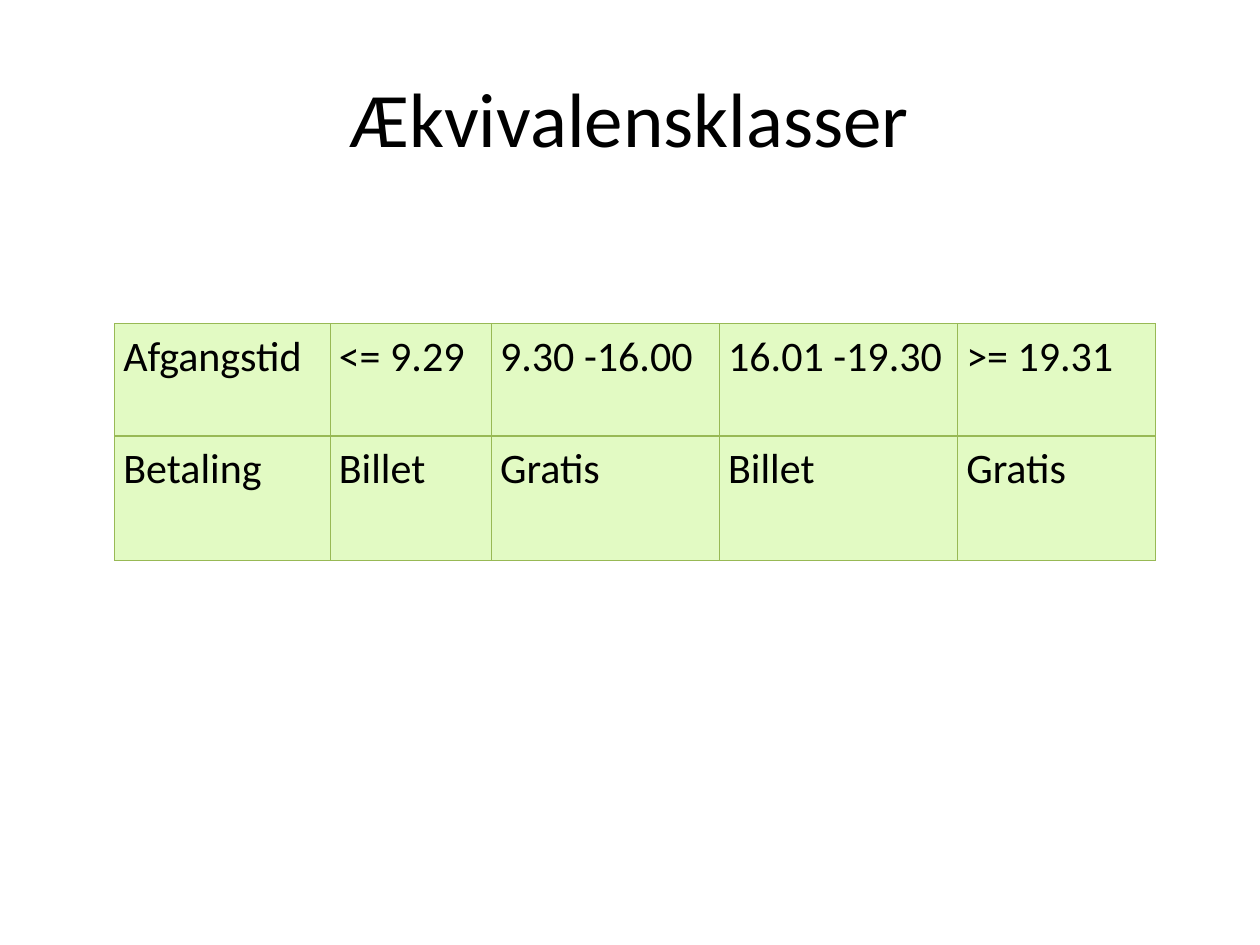
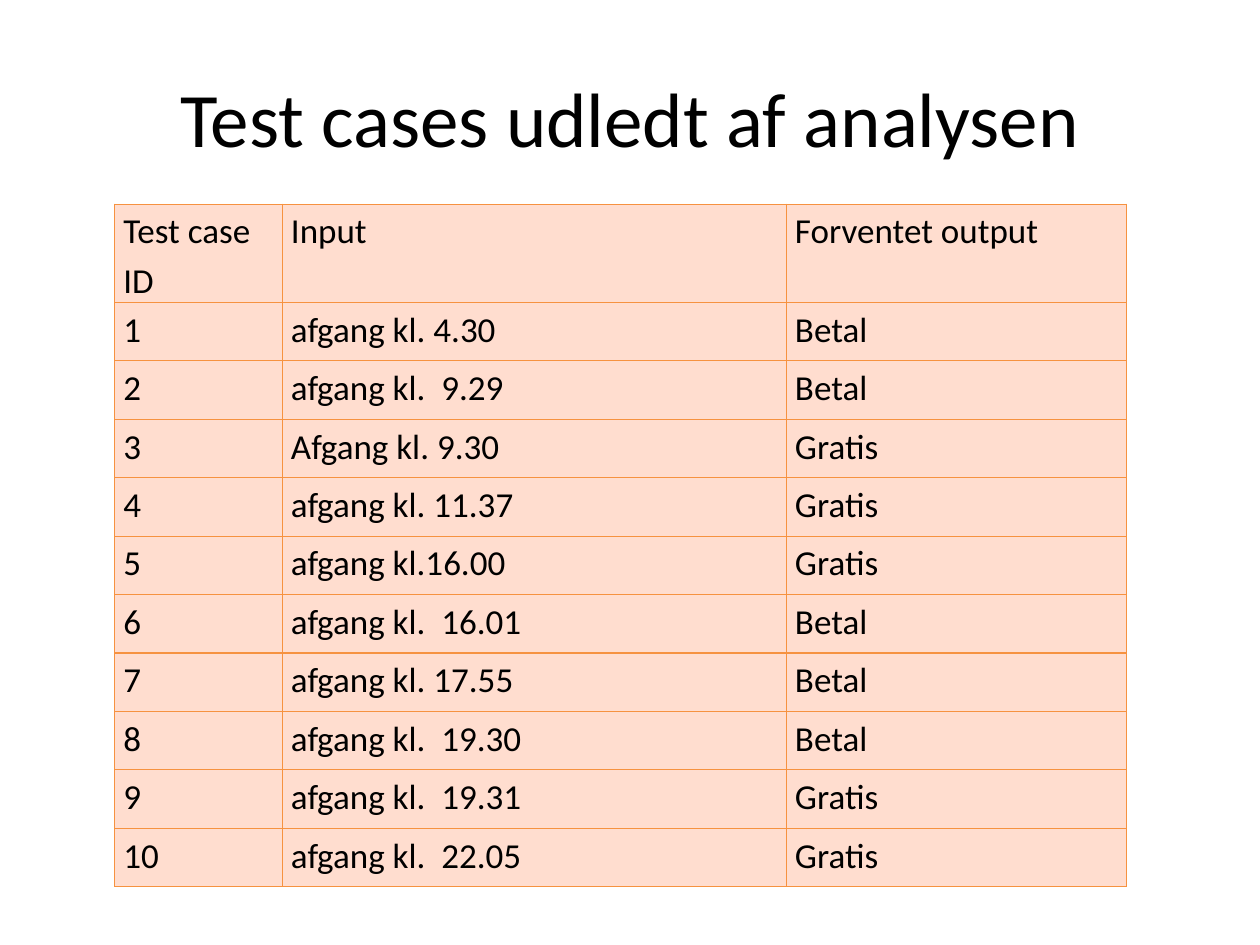
import dataclasses
import pptx
import pptx.dml.color
import pptx.enum.text
import pptx.oxml
import pptx.oxml.ns
import pptx.util

Inches = pptx.util.Inches
Pt = pptx.util.Pt
RGB = pptx.dml.color.RGBColor.from_string
ENUM = pptx.enum.text


@dataclasses.dataclass(frozen=True)
class Theme:
    """Colours, font and type sizes of the deck."""
    font: str = "Calibri"
    ink: str = "000000"
    green: tuple = ("E2FAC3", "98B955")
    peach: tuple = ("FFDDCF", "F69240")
    title: int = 44
    large: int = 24
    small: int = 20
    rule: float = 0.75


def apply(target, form):
    """Set each attribute named in the format dict."""
    for name, value in form.items():
        setattr(target, name, value)


class Deck:
    """Hold the theme and the current slide."""

    def __init__(self, theme):
        """Start an empty 10 by 7.5 inch deck."""
        self.theme = theme
        self.show = pptx.Presentation()
        apply(self.show, {"slide_width": Inches(10),
                          "slide_height": Inches(7.5)})

    def page(self, title):
        """Add a blank slide with its title."""
        self.slide = self.show.slides.add_slide(self.show.slide_layouts[6])
        box = self.slide.shapes.add_textbox(
            Inches(0.5), Inches(0.3), Inches(9), Inches(1.25))
        apply(box.text_frame, {"word_wrap": True,
                               "vertical_anchor": ENUM.MSO_ANCHOR.MIDDLE})
        self.label(box.text_frame, title, self.theme.title,
                   {"alignment": ENUM.PP_ALIGN.CENTER})

    def label(self, frame, text, size, form):
        """Put one styled paragraph in a text frame."""
        par = frame.paragraphs[0]
        apply(par, form)
        run = par.add_run()
        run.text = text
        apply(run.font, {"name": self.theme.font, "size": Pt(size)})
        run.font.color.rgb = RGB(self.theme.ink)

    def edge(self, cell, tint):
        """Draw a thin line on all four sides of a cell."""
        props = cell._tc.get_or_add_tcPr()
        space = pptx.oxml.ns.nsdecls("a")
        for side in "LRTB":
            props.append(pptx.oxml.parse_xml(
                f'<a:ln{side} {space} w="{Pt(self.theme.rule)}"><a:solidFill>'
                f'<a:srgbClr val="{tint}"/></a:solidFill></a:ln{side}>'))

    def table(self, top, cols, highs, rows, size, tints):
        """Add a table with one fill and one line colour."""
        fill, line = tints
        grid = self.slide.shapes.add_table(
            len(rows), len(cols), Inches(0.91), Inches(top),
            Inches(sum(cols)), Inches(sum(highs))).table
        apply(grid, {"first_row": False, "horz_banding": False})
        for col, width in zip(grid.columns, cols):
            col.width = Inches(width)
        for row, high, texts in zip(grid.rows, highs, rows):
            row.height = Inches(high)
            for cell, text in zip(row.cells, texts):
                apply(cell, {"margin_left": Inches(0.07),
                             "margin_right": Inches(0.07),
                             "margin_top": 0, "margin_bottom": 0})
                self.edge(cell, line)
                cell.fill.solid()
                cell.fill.fore_color.rgb = RGB(fill)
                self.label(cell.text_frame, text, size,
                           {"line_spacing": 1.15, "space_after": Pt(10)})


def main():
    """Build both slides and save the deck."""
    theme = Theme()
    deck = Deck(theme)

    deck.page("Ækvivalensklasser")
    fares = [
        ("Afgangstid", "<= 9.29", "9.30 -16.00", "16.01 -19.30", ">= 19.31"),
        ("Betaling", "Billet", "Gratis", "Billet", "Gratis"),
    ]
    deck.table(2.57, [1.71, 1.28, 1.81, 1.89, 1.57], [0.89, 0.99],
               fares, theme.large, theme.green)

    deck.page("Test cases udledt af analysen")
    cases = [
        ("afgang kl. 4.30", "Betal"),
        ("afgang kl.  9.29", "Betal"),
        ("Afgang kl. 9.30", "Gratis"),
        ("afgang kl. 11.37", "Gratis"),
        ("afgang kl.16.00", "Gratis"),
        ("afgang kl.  16.01", "Betal"),
        ("afgang kl. 17.55", "Betal"),
        ("afgang kl.  19.30", "Betal"),
        ("afgang kl.  19.31", "Gratis"),
        ("afgang kl.  22.05", "Gratis"),
    ]
    rows = [("Test case ID", "Input", "Forventet output")]
    rows += [(str(num), *case) for num, case in enumerate(cases, 1)]
    head, total = 0.78, 5.42
    highs = [head] + [(total - head) / len(cases)] * len(cases)
    deck.table(1.62, [1.33, 4, 2.7], highs, rows, theme.small, theme.peach)

    deck.show.save("out.pptx")


main()
